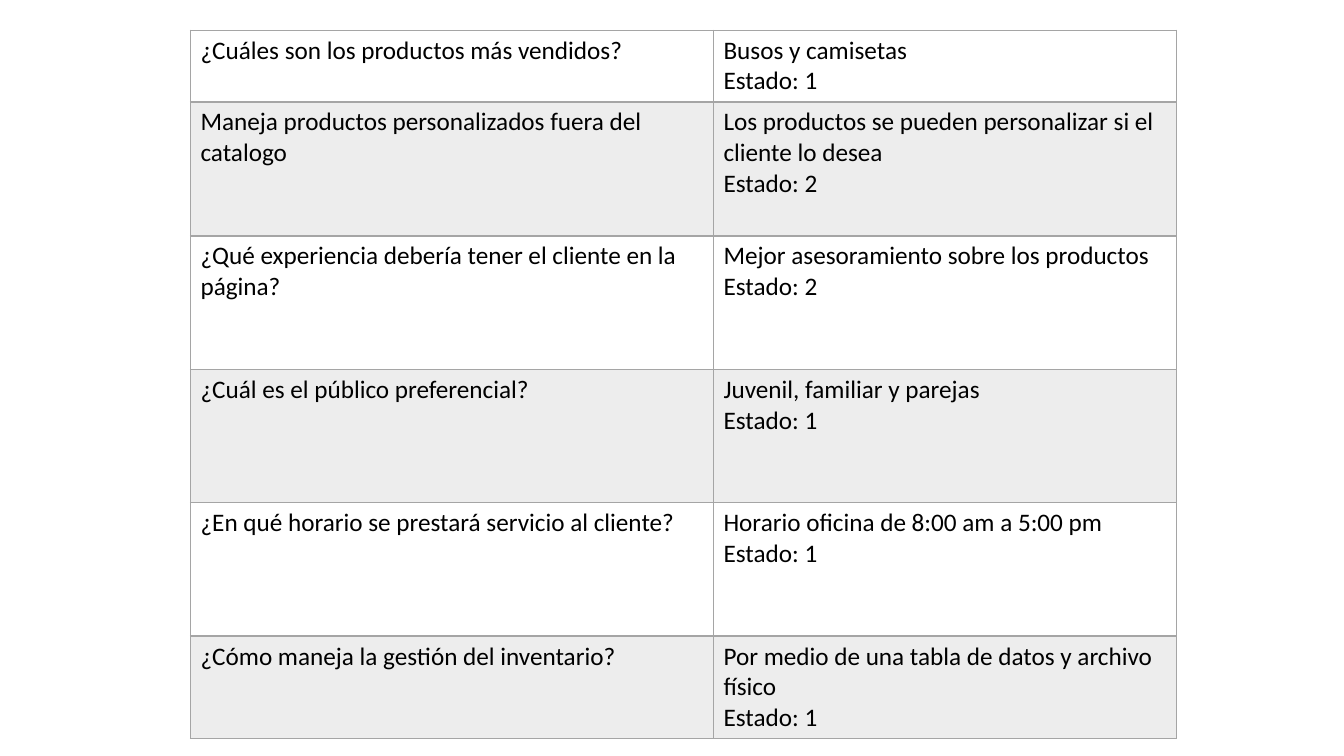
from lxml.etree import SubElement
from pptx import Presentation
from pptx.dml.color import RGBColor
from pptx.oxml.ns import qn
from pptx.util import Cm, Pt

COLORS = {"text": "000000", "border": "A5A5A5", "band": "EDEDED"}
COLUMN_WIDTHS = [13.18, 11.66]
ROWS = [
    (1.8, "¿Cuáles son los productos más vendidos?", "Busos y camisetas", 1),
    (3.38, "Maneja productos personalizados fuera del catalogo",
     "Los productos se pueden personalizar si el cliente lo desea", 2),
    (3.36, "¿Qué experiencia debería tener el cliente en la página?",
     "Mejor asesoramiento sobre los productos", 2),
    (3.36, "¿Cuál es el público preferencial?", "Juvenil, familiar y parejas", 1),
    (3.36, "¿En qué horario se prestará servicio al cliente?",
     "Horario oficina de 8:00 am a 5:00 pm", 1),
    (2.59, "¿Cómo maneja la gestión del inventario?",
     "Por medio de una tabla de datos y archivo físico", 1),
]


class SlideBuilder:
    font_name = "Calibri"
    font_size = Pt(18)

    def __init__(self, page):
        self.page = page

    def add_border(self, cell, side, width):
        line = SubElement(cell._tc.get_or_add_tcPr(), qn(f"a:ln{side}"), w=str(Pt(width)))
        fill = SubElement(line, qn("a:solidFill"))
        SubElement(fill, qn("a:srgbClr"), val=COLORS["border"])

    def fill_cell(self, cell, text, shaded, bottom_width):
        for side in "LRT":
            self.add_border(cell, side, 1)
        self.add_border(cell, "B", bottom_width)
        if shaded:
            cell.fill.solid()
            cell.fill.fore_color.rgb = RGBColor.from_string(COLORS["band"])
        else:
            cell.fill.background()
        cell.text_frame.text = text
        for para in cell.text_frame.paragraphs:
            para.font.name = self.font_name
            para.font.size = self.font_size
            para.font.color.rgb = RGBColor.from_string(COLORS["text"])

    def add_question_table(self, left, top, widths, rows):
        height = sum(row[0] for row in rows)
        frame = self.page.shapes.add_table(
            len(rows), len(widths), Cm(left), Cm(top), Cm(sum(widths)), Cm(height))
        table = frame.table
        table.first_row = False
        table.horz_banding = False
        for column, width in zip(table.columns, widths):
            column.width = Cm(width)
        for index, (row_height, question, answer, state) in enumerate(rows):
            table.rows[index].height = Cm(row_height)
            texts = [question, f"{answer}\nEstado: {state}"]
            for cell, text in zip(table.rows[index].cells, texts):
                self.fill_cell(cell, text, index % 2 == 1, 2 if index == 0 else 1)


def main():
    deck = Presentation()
    deck.slide_width = Cm(33.87)
    deck.slide_height = Cm(19.05)
    builder = SlideBuilder(deck.slides.add_slide(deck.slide_layouts[6]))
    builder.add_question_table(4.8, 0.76, COLUMN_WIDTHS, ROWS)
    deck.save("out.pptx")


if __name__ == "__main__":
    main()
